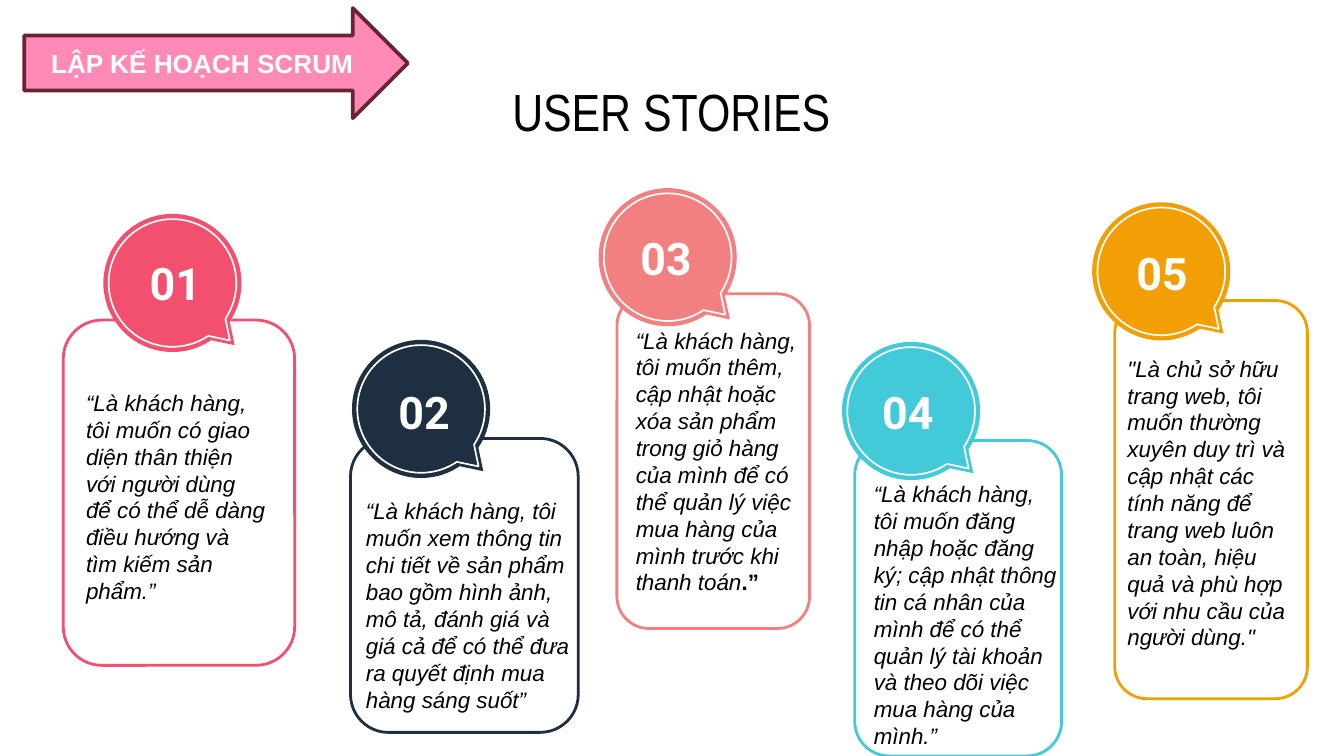
from collections import namedtuple

from pptx import Presentation, util as u
from pptx.dml.color import RGBColor
from pptx.enum import shapes, text

MIDDLE, TOP = text.MSO_ANCHOR.MIDDLE, text.MSO_ANCHOR.TOP
TIGHT = (0, 0.7, 0, 0)
ROOMY = (7.2, 7.2, 7.2, 7.2)
BALLOON_RADIUS = 37
RING_RADIUS = 34.2

Story = namedtuple(
    "Story", "number color card balloon_center number_at text_box anchor insets runs")

BODY = dict(name="Arial", size=u.Pt(12), italic=True)
BODY_END = dict(name="Arial", size=u.Pt(12), bold=True)
NUMBER = dict(name="Roboto", size=u.Pt(24), bold=True)
TITLE = dict(name="Arial Narrow", size=u.Pt(28))
BANNER = dict(name="Arial", size=u.Pt(14), bold=True)

STORIES = [
    Story("01", "F2506E", (33.9, 171.5, 124, 185), (92.4, 151.6), (53.3, 135.4),
          (46.1, 195.2, 96.7, 141), MIDDLE, TIGHT,
          [("“Là khách hàng, tôi muốn có giao diện thân thiện với người dùng "
            "để có thể dễ dàng điều hướng và tìm kiếm sản phẩm.”", BODY)]),
    Story("02", "1D2F40", (187.8, 234.9, 122, 157.5), (225.6, 219.1), (186.5, 204.5),
          (196, 257.3, 111.6, 133), MIDDLE, TIGHT,
          [("“Là khách hàng, tôi muốn xem thông tin chi tiết về sản phẩm bao gồm "
            "hình ảnh, mô tả, đánh giá và giá cả để có thể đưa ra quyết định "
            "mua hàng sáng suốt”", BODY)]),
    Story("03", "F28080", (330.5, 157.4, 103.2, 179.3), (357.7, 137.8), (316.1, 121.7),
          (340.6, 193, 96.5, 107.3), MIDDLE, TIGHT,
          [("“Là khách hàng, tôi muốn thêm, cập nhật hoặc xóa sản phẩm trong giỏ "
            "hàng của mình để có thể quản lý việc mua hàng của mình trước khi "
            "thanh toán", BODY), (".”", BODY_END)]),
    Story("04", "43CAD9", (457.9, 236, 110.8, 169), (488.1, 220.2), (445.7, 204.5),
          (468.1, 283.7, 100, 90.7), MIDDLE, TIGHT,
          [("“Là khách hàng, tôi muốn đăng nhập hoặc đăng ký; cập nhật thông tin "
            "cá nhân của mình để có thể quản lý tài khoản và theo dõi việc "
            "mua hàng của mình.”", BODY)]),
    Story("05", "F29F05", (597.2, 161, 103.2, 213.3), (622.1, 145.4), (581.8, 129.6),
          (596.9, 182.9, 103, 51.8), TOP, ROOMY,
          [("\"Là chủ sở hữu trang web, tôi muốn thường xuyên duy trì và cập nhật "
            "các tính năng để trang web luôn an toàn, hiệu quả và phù hợp với "
            "nhu cầu của người dùng.\"", BODY)]),
]


def rgb(color):
    return RGBColor.from_string(color)


def points(values):
    return [u.Pt(value) for value in values]


def add_outline(slide, kind, box, fill=None, line=None, width=0):
    """Add a preset shape; a fill or line of None stays empty."""
    shape = slide.shapes.add_shape(kind, *points(box))
    shape.shadow.inherit = False
    if fill:
        shape.fill.solid()
        shape.fill.fore_color.rgb = rgb(fill)
    else:
        shape.fill.background()
    if line:
        shape.line.color.rgb = rgb(line)
        shape.line.width = u.Pt(width)
    else:
        shape.line.fill.background()
    return shape


def write(shape, runs, color, insets=ROOMY, anchor=MIDDLE, align=text.PP_ALIGN.LEFT):
    frame = shape.text_frame
    frame.word_wrap = True
    frame.vertical_anchor = anchor
    for side, inset in zip(("left", "top", "right", "bottom"), insets):
        setattr(frame, f"margin_{side}", u.Pt(inset))
    paragraph = frame.paragraphs[0]
    paragraph.alignment = align
    for words, style in runs:
        run = paragraph.add_run()
        run.text = words
        run.font.color.rgb = rgb(color)
        for name, value in style.items():
            setattr(run.font, name, value)
    return paragraph


def add_text(slide, box, runs, color, **layout):
    return write(slide.shapes.add_textbox(*points(box)), runs, color, **layout)


def add_balloon(slide, center, radius, **paint):
    """Add a round callout with its tail at the lower right."""
    x, y = center
    balloon = add_outline(slide, shapes.MSO_SHAPE.OVAL_CALLOUT,
                          (x - radius, y - radius, 2 * radius, 2 * radius), **paint)
    balloon.adjustments[0] = 0.45
    balloon.adjustments[1] = 0.45


def add_story(slide, story):
    add_outline(slide, shapes.MSO_SHAPE.ROUNDED_RECTANGLE, story.card,
                line=story.color, width=1.5)
    add_balloon(slide, story.balloon_center, BALLOON_RADIUS, fill=story.color)
    add_balloon(slide, story.balloon_center, RING_RADIUS, line="FFFFFF", width=0.9)
    add_text(slide, story.text_box, story.runs, "000000",
             insets=story.insets, anchor=story.anchor)
    add_text(slide, (*story.number_at, 81.4, 32.4), [(story.number, NUMBER)],
             "FFFFFF", align=text.PP_ALIGN.CENTER)


def add_banner(slide):
    arrow = add_outline(slide, shapes.MSO_SHAPE.RIGHT_ARROW, (13, 4.3, 205.5, 59),
                        fill="FF8AB7", line="6A2330", width=2)
    write(arrow, [("LẬP KẾ HOẠCH SCRUM", BANNER)], "FFFFFF",
          insets=(7.2, 3.6, 7.2, 3.6), align=text.PP_ALIGN.CENTER)


def main():
    presentation = Presentation()
    presentation.slide_width, presentation.slide_height = points((720, 405))
    slide = presentation.slides.add_slide(presentation.slide_layouts[6])
    title = add_text(slide, (224.6, 42.5, 270, 38.2), [("USER STORIES", TITLE)],
                     "000000", align=text.PP_ALIGN.CENTER)
    title.line_spacing = 0.9
    for story in STORIES:
        add_story(slide, story)
    add_banner(slide)
    presentation.save("out.pptx")


if __name__ == "__main__":
    main()
